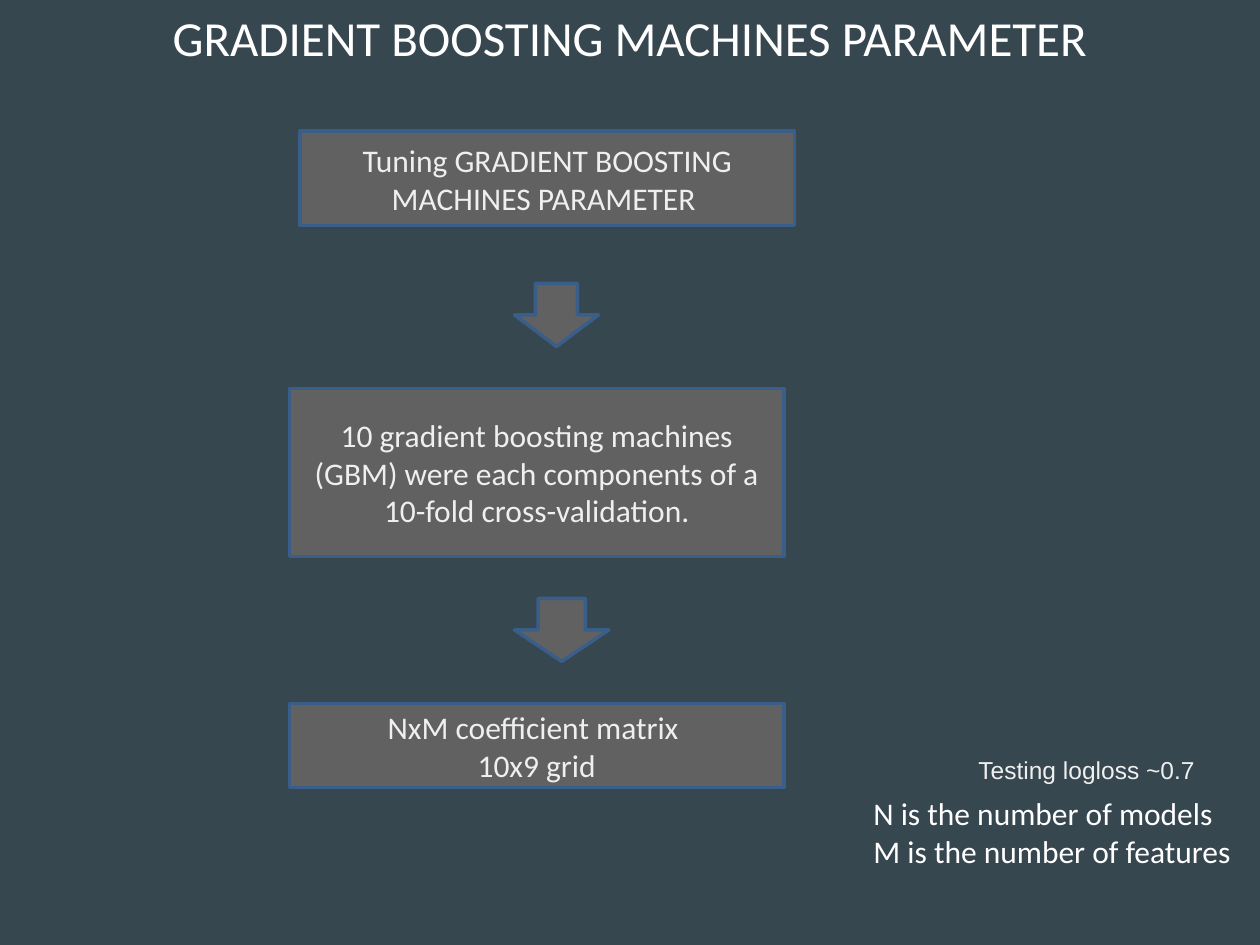
from dataclasses import dataclass

from pptx import Presentation
from pptx.dml.color import RGBColor as RGB
from pptx.enum.shapes import MSO_SHAPE as Shape
from pptx.enum.text import MSO_ANCHOR as Anchor, MSO_AUTO_SIZE as AutoSize, PP_ALIGN as Align
from pptx.util import Pt


@dataclass(frozen=True)
class Theme:
    background: RGB = RGB(0x37, 0x47, 0x4F)
    fill: RGB = RGB(0x61, 0x61, 0x61)
    outline: RGB = RGB(0x39, 0x5E, 0x89)
    white: RGB = RGB(0xFF, 0xFF, 0xFF)
    soft_white: RGB = RGB(0xEF, 0xEF, 0xEF)
    font: str = "Calibri"
    result_font: str = "Arial"
    title_size: int = 28
    body_size: int = 18
    result_size: int = 14
    outline_width: int = 2


class SlideBuilder:
    def __init__(self, slide, theme):
        self.slide = slide
        self.theme = theme
        background = slide.background.fill
        background.solid()
        background.fore_color.rgb = theme.background

    def set_text(self, box, text, size, color, font=None, align=Align.LEFT,
                 anchor=Anchor.TOP, inset=3.6):
        frame = box.text_frame
        frame.text = text
        frame.word_wrap = True
        frame.auto_size = AutoSize.NONE
        frame.vertical_anchor = anchor
        frame.margin_left = frame.margin_right = Pt(7.2)
        frame.margin_top = frame.margin_bottom = Pt(inset)
        for para in frame.paragraphs:
            para.alignment = align
            for span in para.runs:
                span.font.name = font or self.theme.font
                span.font.size = Pt(size)
                span.font.color.rgb = color

    def title(self, text, left, top, width, height):
        box = self.slide.shapes.title
        box.left, box.top, box.width, box.height = map(Pt, (left, top, width, height))
        self.set_text(box, text, self.theme.title_size, self.theme.white, align=Align.CENTER)

    def shape(self, kind, left, top, width, height):
        shape = self.slide.shapes.add_shape(kind, *map(Pt, (left, top, width, height)))
        shape.shadow.inherit = False
        shape.fill.solid()
        shape.fill.fore_color.rgb = self.theme.fill
        shape.line.color.rgb = self.theme.outline
        shape.line.width = Pt(self.theme.outline_width)
        return shape

    def step(self, text, left, top, width, height):
        box = self.shape(Shape.RECTANGLE, left, top, width, height)
        self.set_text(box, text, self.theme.body_size, self.theme.soft_white,
                      align=Align.CENTER, anchor=Anchor.MIDDLE)

    def arrow(self, left, top, width, height):
        self.shape(Shape.DOWN_ARROW, left, top, width, height)

    def note(self, text, left, top, width, height, **style):
        box = self.slide.shapes.add_textbox(*map(Pt, (left, top, width, height)))
        self.set_text(box, text, **style)


def main():
    deck = Presentation()
    deck.slide_width, deck.slide_height = Pt(720), Pt(540)
    theme = Theme()
    page = SlideBuilder(deck.slides.add_slide(deck.slide_layouts[5]), theme)

    # Heading
    page.title("GRADIENT BOOSTING MACHINES PARAMETER ", 6, 0.75, 714, 41)

    # Steps of the flow, from top to bottom
    step_width = 282.5
    for text, left, top, height in (
        ("Tuning GRADIENT BOOSTING MACHINES PARAMETER ", 171.5, 75, 54),
        ("10 gradient boosting machines (GBM) were each components of a "
         "10-fold cross-validation.", 165.5, 222, 96),
        ("NxM coefficient matrix \n10x9 grid", 165.5, 402, 48),
    ):
        page.step(text, left, top, step_width, height)

    # Arrows between the steps
    for top, width in ((162, 48), (342, 54)):
        page.arrow(294, top, width, 36)

    # Notes beside the last step
    page.note("N is the number of models\nM is the number of features", 492, 450, 221, 51,
              size=theme.body_size, color=theme.white)
    page.note("Testing logloss ~0.7", 552, 424, 159, 48, size=theme.result_size,
              color=theme.soft_white, font=theme.result_font, inset=7.2)

    deck.save("out.pptx")


if __name__ == "__main__":
    main()
